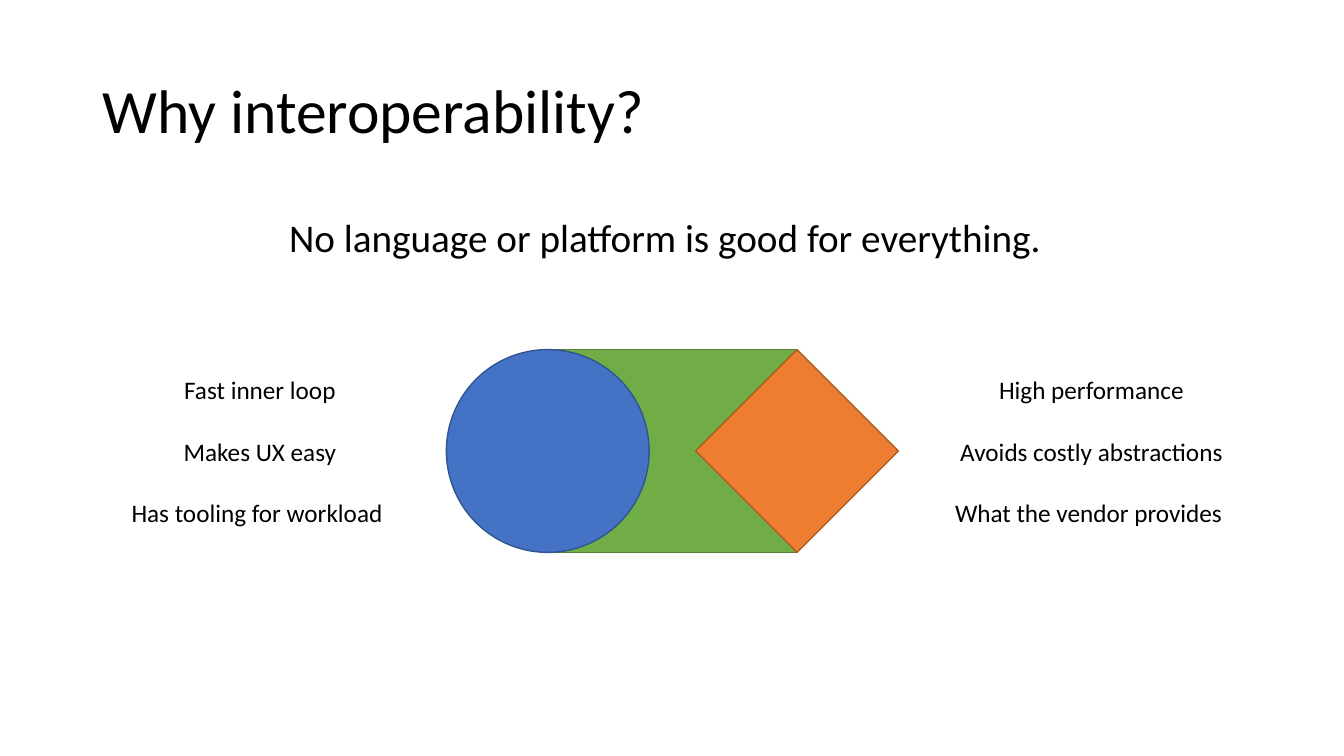
from pptx import Presentation
from pptx.dml.color import RGBColor
from pptx.enum.shapes import MSO_SHAPE
from pptx.enum.text import MSO_ANCHOR, PP_ALIGN
from pptx.util import Cm, Pt

RECTANGLE, CIRCLE, DIAMOND = (
    MSO_SHAPE.RECTANGLE, MSO_SHAPE.FLOWCHART_CONNECTOR, MSO_SHAPE.DIAMOND)
LEFT, CENTER = PP_ALIGN.LEFT, PP_ALIGN.CENTER
TOP, MIDDLE = MSO_ANCHOR.TOP, MSO_ANCHOR.MIDDLE

# Content
TITLE = "Why interoperability?"
STATEMENT = "No language or platform is good for everything."
# (left, width, lines)
BENEFITS = [
    (3.02, 7.06, ["Fast inner loop", "Makes UX easy",
                  "Has tooling for workload "]),
    (23.77, 7.47, ["High performance", "Avoids costly abstractions",
                   "What the vendor provides "]),
]
FONT = "Calibri"
COLORS = {
    "text": "000000",
    "bridge": "70AD47", "bridge line": "538035",
    "circle": "4472C4", "circle line": "325491",
    "diamond": "ED7D31", "diamond line": "AF5C24",
}

# Layout in centimetres
SIZE = 5.11
FIGURE_TOP = 8.81
CIRCLE_LEFT, DIAMOND_LEFT = 11.25, 17.53
BENEFITS_TOP, BENEFITS_HEIGHT = 9.32, 4.11


def color(name):
    return RGBColor.from_string(COLORS[name])


def add_text(page, lines, left, top, width, height, size,
             align=LEFT, anchor=TOP, line_spacing=1.0, gap=0):
    box = page.shapes.add_textbox(Cm(left), Cm(top), Cm(width), Cm(height))
    frame = box.text_frame
    frame.word_wrap = True
    frame.vertical_anchor = anchor
    for index, line in enumerate(lines):
        para = frame.add_paragraph() if index else frame.paragraphs[0]
        para.alignment = align
        para.line_spacing = line_spacing
        para.space_before = Pt(gap if index else 0)
        span = para.add_run()
        span.text = line
        span.font.name = FONT
        span.font.size = Pt(size)
        span.font.color.rgb = color("text")


def add_figure(page, kind, name, left, width):
    shape = page.shapes.add_shape(
        kind, Cm(left), Cm(FIGURE_TOP), Cm(width), Cm(SIZE))
    shape.shadow.inherit = False
    shape.fill.solid()
    shape.fill.fore_color.rgb = color(name)
    shape.line.color.rgb = color(name + " line")
    shape.line.width = Pt(1)


deck = Presentation()
deck.slide_width, deck.slide_height = Cm(33.87), Cm(19.05)
page = deck.slides.add_slide(deck.slide_layouts[6])

# Bridge from the middle of the circle to the middle of the diamond
add_figure(page, RECTANGLE, "bridge",
           CIRCLE_LEFT + SIZE / 2, DIAMOND_LEFT - CIRCLE_LEFT)
add_figure(page, CIRCLE, "circle", CIRCLE_LEFT, SIZE)
add_figure(page, DIAMOND, "diamond", DIAMOND_LEFT, SIZE)

# Title and statement
add_text(page, [TITLE], 2.33, 1.01, 29.21, 3.68, 44,
         anchor=MIDDLE, line_spacing=0.9)
add_text(page, [STATEMENT], 7.04, 5.38, 19.79, 1.5, 28, line_spacing=0.9)

# Benefits on both sides
for left, width, lines in BENEFITS:
    add_text(page, lines, left, BENEFITS_TOP, width, BENEFITS_HEIGHT, 18,
             align=CENTER, gap=22)

deck.save("out.pptx")
